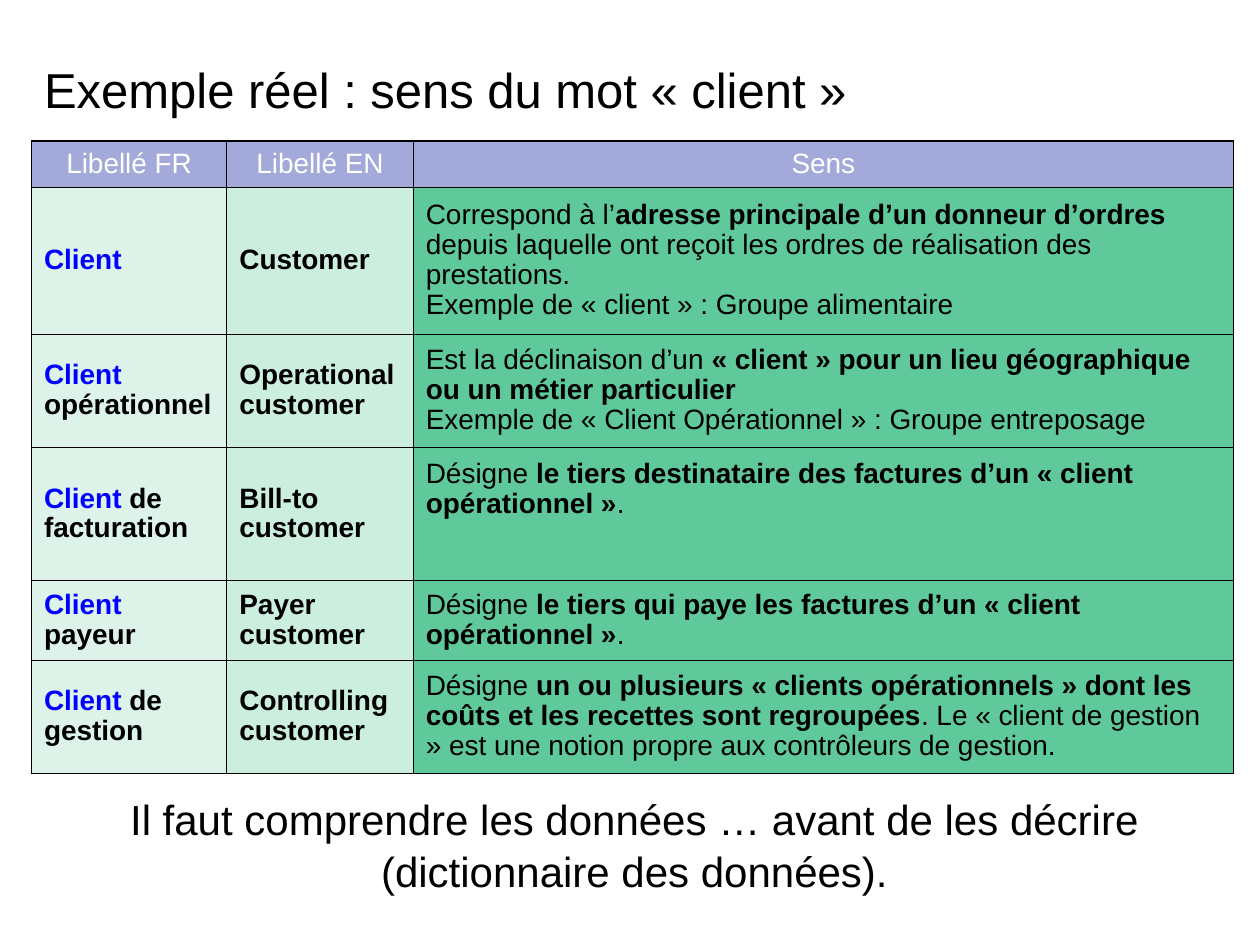
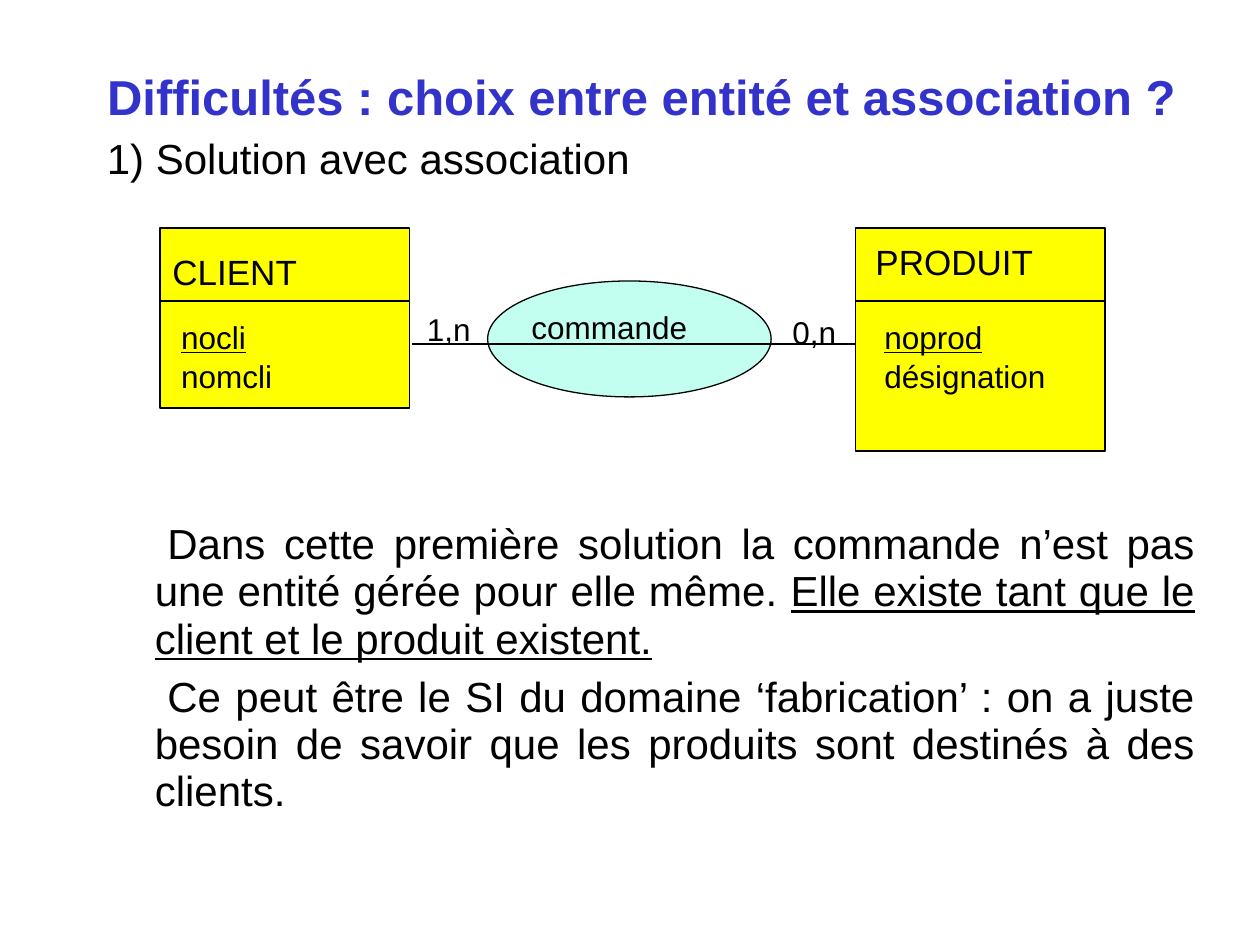
from dataclasses import dataclass

from lxml import etree
from pptx import Presentation
from pptx.dml.color import RGBColor
from pptx.enum.shapes import MSO_CONNECTOR, MSO_SHAPE
from pptx.enum.text import MSO_ANCHOR, MSO_AUTO_SIZE, PP_ALIGN
from pptx.oxml.ns import qn
from pptx.util import Inches, Pt

LEFT, CENTER, JUSTIFY = PP_ALIGN.LEFT, PP_ALIGN.CENTER, PP_ALIGN.JUSTIFY
TOP, MIDDLE, BOTTOM = MSO_ANCHOR.TOP, MSO_ANCHOR.MIDDLE, MSO_ANCHOR.BOTTOM
RECTANGLE, OVAL = MSO_SHAPE.RECTANGLE, MSO_SHAPE.OVAL
STRAIGHT = MSO_CONNECTOR.STRAIGHT
TITLE_ONLY = 5


# Theme and descriptions of the repeated elements
@dataclass(frozen=True)
class Theme:
    font: str = "Arial"
    black: str = "000000"
    white: str = "FFFFFF"
    heading_blue: str = "3333CC"
    term_blue: str = "0000FF"
    header_fill: str = "A3A9D8"
    column_fills: tuple[str, ...] = ("DDF3EA", "CCEEDF", "60C99C")
    entity_fill: str = "FFFF00"
    association_fill: str = "C2FFF0"
    title_size: int = 28
    body_size: int = 24
    entity_size: int = 20
    label_size: int = 18
    table_size: int = 16
    box_spacing: float = 1.04
    body_spacing: float = 0.94
    table_spacing: float = 0.96
    line_width: float = 0.75
    outer_border: float = 1.08
    inner_border: float = 0.45


THEME = Theme()


@dataclass(frozen=True)
class Run:
    text: str
    bold: bool = False
    underline: bool = False
    color: str = THEME.black


@dataclass(frozen=True)
class Box:
    left: float
    top: float
    width: float
    height: float

    def lengths(self) -> tuple:
        return tuple(Inches(v) for v in (self.left, self.top, self.width, self.height))


@dataclass(frozen=True)
class Meaning:
    french_suffix: str
    english: str
    sense: list[list[Run]]
    height: float
    anchor: MSO_ANCHOR = MIDDLE


@dataclass(frozen=True)
class Entity:
    name: str
    key: str
    attribute: str
    box: Box
    name_offset: tuple[float, float]
    attribute_left: float


# Text and shape helpers
def write(frame, paragraphs: list[list[Run]], size: int, alignment=LEFT,
          spacing: float = 1.0, gap: float = 0, indent: float = 0) -> None:
    for index, runs in enumerate(paragraphs):
        paragraph = frame.paragraphs[0] if index == 0 else frame.add_paragraph()
        paragraph.alignment = alignment
        paragraph.line_spacing = spacing
        paragraph.space_before = Pt(gap if index else 0)
        if indent:
            paragraph._p.get_or_add_pPr().set("indent", str(Inches(indent)))
        for item in runs:
            run = paragraph.add_run()
            run.text = item.text
            font = run.font
            font.name, font.size = THEME.font, Pt(size)
            font.bold, font.underline = item.bold, item.underline
            font.color.rgb = RGBColor.from_string(item.color)


def add_title(slide, run: Run, box: Box, anchor) -> None:
    title = slide.shapes.title
    title.left, title.top, title.width, title.height = box.lengths()
    frame = title.text_frame
    frame.word_wrap, frame.auto_size = True, MSO_AUTO_SIZE.NONE
    frame.vertical_anchor = anchor
    write(frame, [[run]], THEME.title_size)


def add_text(slide, box: Box, paragraphs: list[list[Run]], size: int,
             alignment=LEFT, spacing: float = THEME.box_spacing,
             gap: float = 0, indent: float = 0) -> None:
    frame = slide.shapes.add_textbox(*box.lengths()).text_frame
    frame.word_wrap = True
    write(frame, paragraphs, size, alignment, spacing, gap, indent)


def add_filled_shape(slide, kind, box: Box, fill: str) -> None:
    shape = slide.shapes.add_shape(kind, *box.lengths())
    shape.shadow.inherit = False
    shape.fill.solid()
    shape.fill.fore_color.rgb = RGBColor.from_string(fill)
    shape.line.color.rgb = RGBColor.from_string(THEME.black)
    shape.line.width = Pt(THEME.line_width)


def add_horizontal_line(slide, start: float, end: float, y: float) -> None:
    line = slide.shapes.add_connector(STRAIGHT, Inches(start), Inches(y), Inches(end), Inches(y))
    line.line.color.rgb = RGBColor.from_string(THEME.black)
    line.line.width = Pt(THEME.line_width)
    etree.SubElement(line._element.spPr, qn("a:effectLst"))


def set_borders(cell, outer_sides: dict[str, bool]) -> None:
    properties = cell._tc.get_or_add_tcPr()
    for index, (side, is_outer) in enumerate(outer_sides.items()):
        width = THEME.outer_border if is_outer else THEME.inner_border
        border = etree.Element(qn(f"a:ln{side}"), w=str(Pt(width)))
        fill = etree.SubElement(border, qn("a:solidFill"))
        etree.SubElement(fill, qn("a:srgbClr"), val=THEME.black)
        properties.insert(index, border)


# Slide 1: glossary table
HEADERS = ("Libellé FR", "Libellé EN", "Sens")
COLUMN_WIDTHS = (1.55, 1.48, 6.51)
HEADER_HEIGHT = 0.37
MEANINGS = [
    Meaning("", "Customer", [
        [Run("Correspond à l’"), Run("adresse principale d’un donneur d’ordres", bold=True),
         Run(" depuis laquelle ont reçoit les ordres de réalisation des prestations.")],
        [Run("Exemple de « client » : Groupe alimentaire")]], 1.16),
    Meaning("opérationnel", "Operational customer", [
        [Run("Est la déclinaison d’un "),
         Run("« client » pour un lieu géographique ou un métier particulier", bold=True)],
        [Run("Exemple de « Client Opérationnel » : Groupe entreposage")]], 0.9),
    Meaning("de facturation", "Bill-to customer", [
        [Run("Désigne "),
         Run("le tiers destinataire des factures d’un « client opérationnel »", bold=True),
         Run(".")]], 1.06, TOP),
    Meaning("payeur", "Payer customer", [
        [Run("Désigne "),
         Run("le tiers qui paye les factures d’un « client opérationnel »", bold=True),
         Run(".")]], 0.63),
    Meaning("de gestion", "Controlling customer", [
        [Run("Désigne "),
         Run("un ou plusieurs « clients opérationnels » dont les coûts et les recettes "
             "sont regroupées", bold=True),
         Run(". Le « client de gestion » est une notion propre aux contrôleurs "
             "de gestion.")]], 0.9),
]


def french_label(suffix: str) -> list[Run]:
    term = Run("Client " if suffix else "Client", bold=True, color=THEME.term_blue)
    return [term, Run(suffix, bold=True)] if suffix else [term]


def add_glossary(slide) -> None:
    heights = [HEADER_HEIGHT] + [meaning.height for meaning in MEANINGS]
    box = Box(0.25, 1.12, sum(COLUMN_WIDTHS), sum(heights))
    table = slide.shapes.add_table(len(heights), len(HEADERS), *box.lengths()).table
    for column, width in zip(table.columns, COLUMN_WIDTHS):
        column.width = Inches(width)
    for row, height in zip(table.rows, heights):
        row.height = Inches(height)

    contents = [[[[Run(header, color=THEME.white)]] for header in HEADERS]]
    contents += [[[french_label(meaning.french_suffix)],
                  [[Run(meaning.english, bold=True)]],
                  meaning.sense] for meaning in MEANINGS]
    last_row, last_column = len(heights) - 1, len(HEADERS) - 1
    for r, row_contents in enumerate(contents):
        for c, paragraphs in enumerate(row_contents):
            cell = table.cell(r, c)
            cell.vertical_anchor = MIDDLE
            cell.margin_left = cell.margin_right = Inches(0.1)
            cell.margin_top = cell.margin_bottom = Inches(0.05)
            if r and c == last_column and MEANINGS[r - 1].anchor == TOP:
                cell.vertical_anchor, cell.margin_top = TOP, Inches(0.1)
            cell.fill.solid()
            fill = THEME.column_fills[c] if r else THEME.header_fill
            cell.fill.fore_color.rgb = RGBColor.from_string(fill)
            set_borders(cell, {"L": c == 0, "R": c == last_column,
                               "T": r == 0, "B": r == last_row})
            write(cell.text_frame, paragraphs, THEME.table_size,
                  LEFT if r else CENTER, THEME.table_spacing)


def build_glossary_slide(slide) -> None:
    add_title(slide, Run("Exemple réel : sens du mot « client »"),
              Box(0.25, 0.28, 9.6, 0.71), BOTTOM)
    add_glossary(slide)
    add_text(slide, Box(0.28, 6.23, 9.51, 0.9),
             [[Run("Il faut comprendre les données … avant de les décrire")],
              [Run("(dictionnaire des données).")]], THEME.body_size, CENTER)


# Slide 2: entity-association diagram
DIVIDER_Y = 2.39
ASSOCIATION_Y = 2.73
ENTITIES = [
    Entity("CLIENT", "nocli", "nomcli", Box(1.27, 1.81, 1.98, 1.43), (0, 0.12), 1.34),
    Entity("PRODUIT", "noprod", "désignation", Box(6.79, 1.81, 1.98, 1.77), (0.06, 0.04), 6.92),
]
ASSOCIATION_LABELS = [
    ("commande", Box(4.12, 2.38, 1.5, 0.4)),
    ("1,n", Box(3.29, 2.4, 0.6, 0.4)),
    ("0,n", Box(6.19, 2.42, 0.6, 0.4)),
]


def add_entity(slide, entity: Entity) -> None:
    box = entity.box
    add_filled_shape(slide, RECTANGLE, box, THEME.entity_fill)
    add_horizontal_line(slide, box.left, box.left + box.width, DIVIDER_Y)
    name_left, name_top = entity.name_offset
    add_text(slide, Box(box.left + name_left, box.top + name_top, 1.6, 0.44),
             [[Run(entity.name)]], THEME.entity_size)
    add_text(slide, Box(entity.attribute_left, 2.46, 1.6, 0.7),
             [[Run(entity.key, underline=True)], [Run(entity.attribute)]], THEME.label_size)


def build_association_slide(slide) -> None:
    add_title(slide, Run("Difficultés : choix entre entité et association ?", bold=True,
                         color=THEME.heading_blue), Box(0.75, 0.51, 8.83, 0.5), MIDDLE)
    add_text(slide, Box(0.75, 0.99, 8.83, 0.45),
             [[Run("1) Solution avec association")]], THEME.body_size)
    add_text(slide, Box(1.13, 4.09, 8.45, 2.58), [
        [Run("Dans cette première solution la commande n’est pas une entité gérée "
             "pour elle même. "),
         Run("Elle existe tant que le client et le produit existent.", underline=True)],
        [Run("Ce peut être le SI du domaine ‘fabrication’ : on a juste besoin de savoir "
             "que les produits sont destinés à des clients.")],
    ], THEME.body_size, JUSTIFY, THEME.body_spacing, gap=6, indent=0.1)

    for entity in ENTITIES:
        add_entity(slide, entity)
    add_filled_shape(slide, OVAL, Box(3.87, 2.23, 2.25, 0.92), THEME.association_fill)
    for label, box in ASSOCIATION_LABELS:
        add_text(slide, box, [[Run(label)]], THEME.label_size)
    add_horizontal_line(slide, 3.27, ENTITIES[1].box.left, ASSOCIATION_Y)


def main() -> None:
    presentation = Presentation()
    presentation.slide_width, presentation.slide_height = Inches(10), Inches(7.5)
    layout = presentation.slide_layouts[TITLE_ONLY]
    for build in (build_glossary_slide, build_association_slide):
        build(presentation.slides.add_slide(layout))
    presentation.save("out.pptx")


if __name__ == "__main__":
    main()
